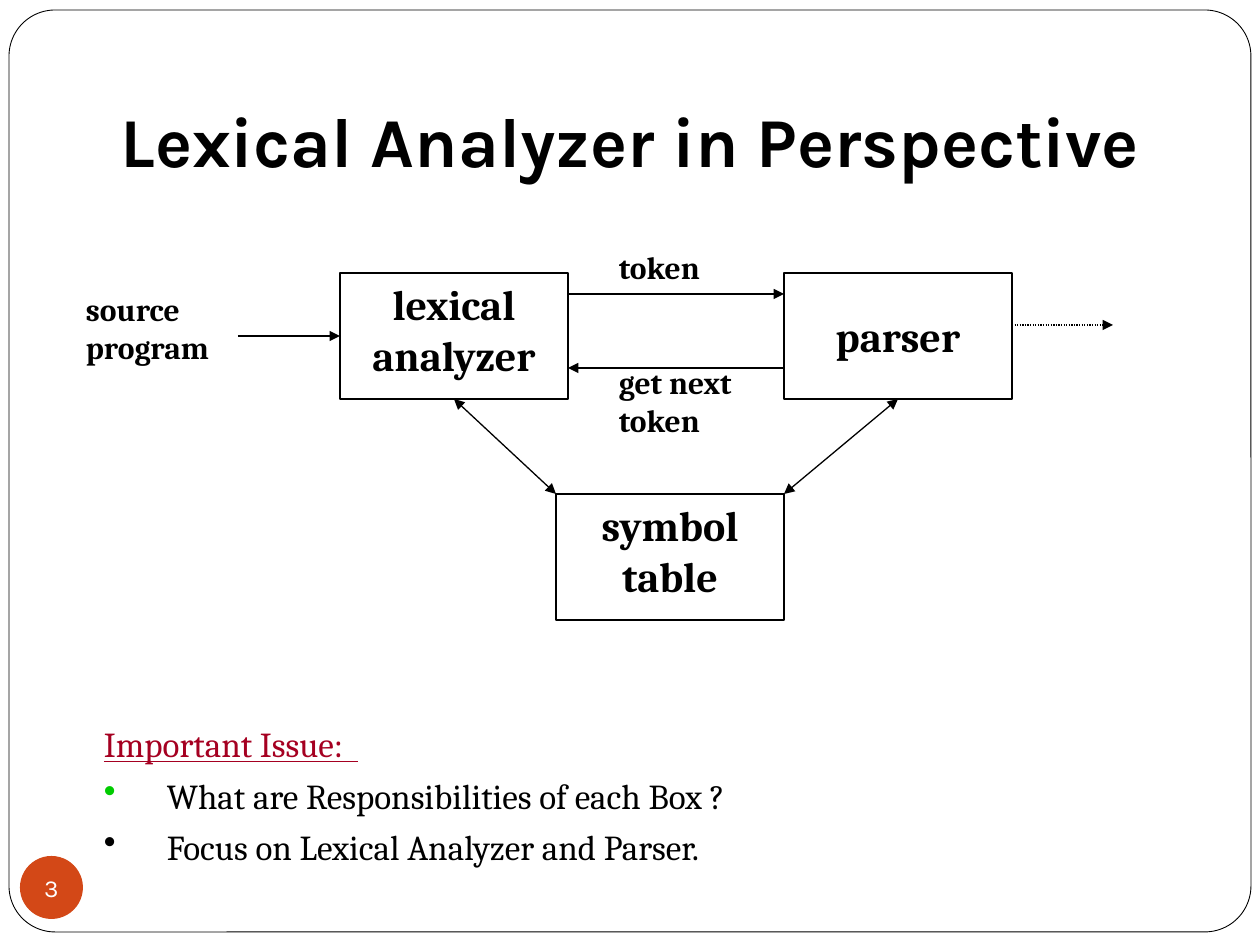
from pptx import Presentation
from pptx.dml.color import RGBColor
from pptx.enum.dml import MSO_LINE
from pptx.enum.shapes import MSO_CONNECTOR, MSO_SHAPE as SHAPE
from pptx.enum.text import MSO_ANCHOR as ANCHOR, PP_ALIGN as ALIGN
from pptx.oxml.ns import qn
from pptx.util import Pt
from lxml.etree import SubElement

EMU_PER_PX = 914400 / 126
BLACK, WHITE, ORANGE, RED, GREEN = "000000", "FFFFFF", "D34817", "A50021", "00CC00"


def px(*values):
    """Turn pixels into EMU."""
    return [round(v * EMU_PER_PX) for v in values]


def rgb(value):
    """Turn a hex string into a colour."""
    return RGBColor.from_string(value)


def set_all(obj, values):
    """Set each attribute named in a dict."""
    for name, value in values.items():
        setattr(obj, name, value)


class Deck:
    """Style and current slide, with one method per kind of element."""

    heading, body = "Karla", "Cambria"
    insets = (13, 6, 13, 6)

    def __init__(self, width, height):
        """Start a presentation with one title-only slide."""
        self.prs = Presentation()
        self.prs.slide_width, self.prs.slide_height = px(width, height)
        self.s = self.prs.slides.add_slide(self.prs.slide_layouts[5])

    def label(self, sp, text, size, color=BLACK, font=body, align=ALIGN.LEFT,
              anchor=ANCHOR.TOP, insets=insets, wrap=True, **style):
        """Fill a shape with one paragraph of text."""
        tf = sp.text_frame
        sides = ("margin_left", "margin_top", "margin_right", "margin_bottom")
        set_all(tf, dict(zip(sides, px(*insets)), word_wrap=wrap,
                         vertical_anchor=anchor))
        return self.run(tf.paragraphs[0], text, size, color, font, align, **style)

    def run(self, p, text, size, color=BLACK, font=body, align=ALIGN.LEFT, **style):
        """Add a formatted run to a paragraph."""
        p.alignment = align
        r = p.add_run()
        r.text = text
        set_all(r.font, dict(style, size=Pt(size), name=font))
        r.font.color.rgb = rgb(color)
        return p

    def title(self, text, *at):
        """Place and format the title."""
        sp = self.s.shapes.title
        set_all(sp, dict(zip(("left", "top", "width", "height"), px(*at))))
        self.label(sp, text, 40, font=self.heading, align=ALIGN.CENTER,
                   anchor=ANCHOR.BOTTOM, insets=(13, 6, 13, 13), bold=True)

    def shape(self, kind, *at, fill=None, line=None):
        """Add a preset shape; line is a width in points."""
        sp = self.s.shapes.add_shape(kind, *px(*at))
        sp.shadow.inherit = False
        if fill:
            sp.fill.solid()
            sp.fill.fore_color.rgb = rgb(fill)
        else:
            sp.fill.background()
        if line:
            sp.line.width = Pt(line)
            sp.line.color.rgb = rgb(BLACK)
        else:
            sp.line.fill.background()
        return sp

    def frame(self, *at):
        """Add the rounded slide border behind everything."""
        sp = self.shape(SHAPE.ROUNDED_RECTANGLE, *at, fill=WHITE, line=0.5)
        sp.adjustments[0] = 0.05
        sp.element.getparent().insert(2, sp.element)

    def box(self, text, left, top, anchor=ANCHOR.TOP):
        """Add a labelled diagram box."""
        sp = self.shape(SHAPE.RECTANGLE, left, top, BOX_W, BOX_H, line=0.75)
        self.label(sp, text, 24, align=ALIGN.CENTER, anchor=anchor, bold=True)

    def text(self, text, *at, size=18, **style):
        """Add a text box and return its text frame."""
        sp = self.s.shapes.add_textbox(*px(*at))
        self.label(sp, text, size, **style)
        return sp.text_frame

    def bullet(self, tf, text, color):
        """Add a bulleted paragraph with a coloured bullet."""
        p = self.run(tf.add_paragraph(), text, 20)
        set_all(p, dict(line_spacing=0.8, space_before=Pt(10)))
        indent = px(63)[0]
        pPr = p._p.get_or_add_pPr()
        pPr.set("marL", str(indent))
        pPr.set("indent", str(-indent))
        clr = SubElement(pPr, qn("a:buClr"))
        SubElement(clr, qn("a:srgbClr"), val=color)
        SubElement(pPr, qn("a:buChar"), char="•")

    def arrow(self, start, end, both=False, dash=None):
        """Add a line with an arrowhead at its end, or at both ends."""
        c = self.s.shapes.add_connector(MSO_CONNECTOR.STRAIGHT, *px(*start, *end))
        c.line.width = Pt(0.75)
        c.line.color.rgb = rgb(BLACK)
        if dash:
            c.line.dash_style = dash
        spPr = c.element.spPr
        ln = spPr.find(qn("a:ln"))
        for tag in ("a:headEnd", "a:tailEnd")[0 if both else 1:]:
            SubElement(ln, qn(tag), type="triangle")
        SubElement(spPr, qn("a:effectLst"))


BOX_W, BOX_H = 228, 126
LEXER_X, PARSER_X, TABLE_X = 340, 784, 556
TOP_Y, TABLE_Y = 273, 494
LEXER_R, PARSER_R, TABLE_R = (x + BOX_W for x in (LEXER_X, PARSER_X, TABLE_X))
BOTTOM_Y = TOP_Y + BOX_H

deck = Deck(1260, 945)
deck.frame(9, 10, 1242, 922)
deck.title("Lexical Analyzer in Perspective", 0, 21, 1260, 174)

badge = deck.shape(SHAPE.OVAL, 20, 856, 63, 63, fill=ORANGE)
deck.label(badge, "3", 14, WHITE, deck.heading, ALIGN.CENTER, ANCHOR.MIDDLE,
           insets=(0, 0, 0, 0), wrap=False)

deck.box("lexical analyzer", LEXER_X, TOP_Y)
deck.box("parser", PARSER_X, TOP_Y, ANCHOR.MIDDLE)
deck.box("symbol table", TABLE_X, TABLE_Y)

deck.arrow((LEXER_R, 294), (PARSER_X, 294))
deck.arrow((PARSER_X, 368), (LEXER_R, 368))
deck.arrow((TABLE_R, TABLE_Y), (PARSER_X + BOX_W // 2, BOTTOM_Y), both=True)
deck.arrow((TABLE_X, TABLE_Y), (LEXER_X + BOX_W // 2, BOTTOM_Y), both=True)
deck.arrow((238, 336), (LEXER_X, 336))
deck.arrow((PARSER_R, 325), (1113, 325), dash=MSO_LINE.ROUND_DOT)

for words, *at in (("source program", 73, 284, 215, 89),
                   ("token", 606, 242, 127, 50),
                   ("get next token", 606, 357, 165, 89)):
    deck.text(words, *at, bold=True)

issues = deck.text("Important Issue:  ", 91, 725, 955, 156, size=20,
                   color=RED, underline=True)
issues.paragraphs[0].line_spacing = 0.8
deck.bullet(issues, "What are Responsibilities of each Box ?", GREEN)
deck.bullet(issues, "Focus on Lexical Analyzer and Parser.", BLACK)

deck.prs.save("out.pptx")
